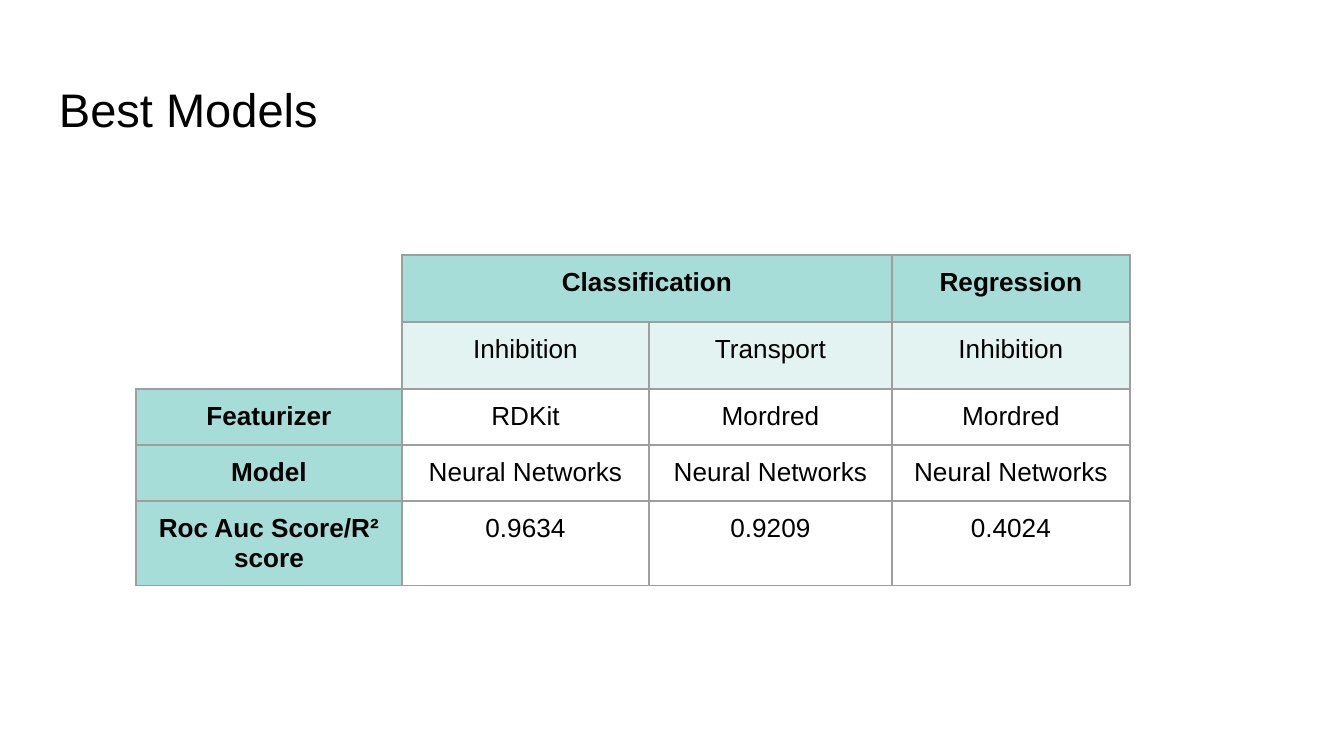
from dataclasses import dataclass
from typing import Optional

from lxml.etree import SubElement
from pptx import Presentation
from pptx.dml.color import RGBColor
from pptx.enum.text import MSO_ANCHOR, MSO_AUTO_SIZE, PP_ALIGN
from pptx.oxml.ns import qn
from pptx.util import Emu, Pt

BLACK = RGBColor(0x00, 0x00, 0x00)
WHITE = RGBColor(0xFF, 0xFF, 0xFF)
GREY = RGBColor(0x9E, 0x9E, 0x9E)
TEAL = RGBColor(0xA7, 0xDD, 0xD8)
DEEP_TEAL = RGBColor(0x70, 0xC7, 0xBF)
FONT = "Arial"


def px(length: int) -> Emu:
    return Emu(round(length * 9144000 / 1344))


INSET = px(13)
COLUMN_WIDTHS = [266, 247, 243, 238]
ROW_HEIGHTS = [64, 65, 56, 56, 85]


@dataclass(frozen=True)
class CellStyle:
    fill: Optional[RGBColor] = None
    opacity: int = 100
    bold: bool = False
    left: RGBColor = GREY
    right: RGBColor = GREY
    top: RGBColor = GREY
    bottom: RGBColor = GREY


HEADING = CellStyle(fill=TEAL, bold=True)
SUBHEADING = CellStyle(fill=DEEP_TEAL, opacity=20)
VALUE = CellStyle()
CORNER = CellStyle(left=WHITE, top=WHITE, bottom=WHITE)
LOWER_CORNER = CellStyle(left=WHITE, top=WHITE)


@dataclass(frozen=True)
class ModelRow:
    texts: list[str]
    first: CellStyle
    rest: CellStyle


MODEL_ROWS = [
    ModelRow(["", "Classification", "", "Regression"], CORNER, HEADING),
    ModelRow(["", "Inhibition", "Transport", "Inhibition"], LOWER_CORNER, SUBHEADING),
    ModelRow(["Featurizer", "RDKit", "Mordred", "Mordred"], HEADING, VALUE),
    ModelRow(["Model"] + ["Neural Networks"] * 3, HEADING, VALUE),
    ModelRow(["Roc Auc Score/R² score", "0.9634", "0.9209", "0.4024"], HEADING, VALUE),
]


def write_text(frame, text: str, *, size: float, bold: bool = False,
               align: PP_ALIGN = PP_ALIGN.LEFT) -> None:
    paragraph = frame.paragraphs[0]
    paragraph.alignment = align
    run = paragraph.add_run()
    run.text = text
    run.font.name = FONT
    run.font.size = Pt(size)
    run.font.bold = bold
    run.font.color.rgb = BLACK


def set_insets(holder) -> None:
    holder.margin_left = holder.margin_right = INSET
    holder.margin_top = holder.margin_bottom = INSET


def style_cell(cell, style: CellStyle) -> None:
    properties = cell._tc.get_or_add_tcPr()
    edges = {"L": style.left, "R": style.right, "T": style.top, "B": style.bottom}
    for side, color in edges.items():
        border = SubElement(properties, qn(f"a:ln{side}"), w=str(Pt(0.75)))
        paint = SubElement(border, qn("a:solidFill"))
        SubElement(paint, qn("a:srgbClr"), val=str(color))
    if style.fill is None:
        cell.fill.background()
        return
    cell.fill.solid()
    cell.fill.fore_color.rgb = style.fill
    if style.opacity < 100:
        tint = properties.find(qn("a:solidFill")).find(qn("a:srgbClr"))
        SubElement(tint, qn("a:alpha"), val=str(style.opacity * 1000))


def add_title(slide, text: str) -> None:
    title = slide.shapes.title
    title.left, title.top, title.width, title.height = px(46), px(66), px(1252), px(84)
    frame = title.text_frame
    set_insets(frame)
    frame.word_wrap = True
    frame.auto_size = MSO_AUTO_SIZE.NONE
    frame.vertical_anchor = MSO_ANCHOR.BOTTOM
    write_text(frame, text, size=25.2)


def add_model_table(slide, rows: list[ModelRow]) -> None:
    table = slide.shapes.add_table(
        len(rows), len(COLUMN_WIDTHS), px(136), px(255),
        px(sum(COLUMN_WIDTHS)), px(sum(ROW_HEIGHTS)),
    ).table
    table.first_row = False
    table.horz_banding = False
    for column, width in zip(table.columns, COLUMN_WIDTHS):
        column.width = px(width)
    for table_row, height in zip(table.rows, ROW_HEIGHTS):
        table_row.height = px(height)
    table.cell(0, 1).merge(table.cell(0, 2))
    for row_index, row in enumerate(rows):
        for column_index, text in enumerate(row.texts):
            cell = table.cell(row_index, column_index)
            style = row.rest if column_index else row.first
            set_insets(cell)
            style_cell(cell, style)
            if text:
                write_text(cell.text_frame, text, size=14, bold=style.bold,
                           align=PP_ALIGN.CENTER)


def main() -> None:
    presentation = Presentation()
    presentation.slide_width = px(1344)
    presentation.slide_height = px(756)
    slide = presentation.slides.add_slide(presentation.slide_layouts[5])
    add_title(slide, "Best Models")
    add_model_table(slide, MODEL_ROWS)
    presentation.save("out.pptx")


if __name__ == "__main__":
    main()
